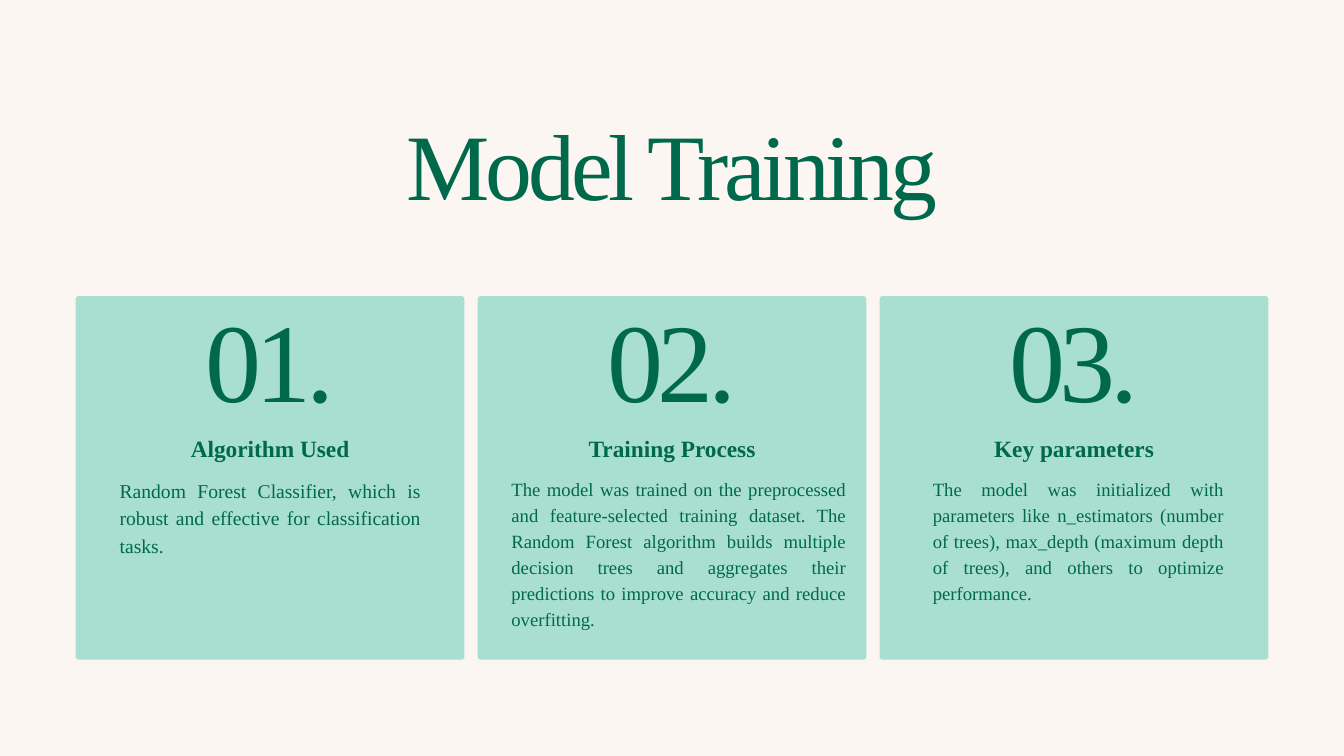
import pptx
import pptx.dml.color
import pptx.enum.shapes
import pptx.enum.text
import pptx.util

Pt = pptx.util.Pt
ALIGN = pptx.enum.text.PP_ALIGN

CREAM = pptx.dml.color.RGBColor(0xFB, 0xF6, 0xF1)
MINT = pptx.dml.color.RGBColor(0xA9, 0xDF, 0xD0)
GREEN = pptx.dml.color.RGBColor(0x00, 0x69, 0x4C)
FONT = "Times New Roman"

SLIDE_WIDTH, SLIDE_HEIGHT = 1440, 810
CARD_WIDTH, CARD_HEIGHT, CARD_TOP = 416.6, 389.3, 317.4
CARD_PITCH = 430.7
CORNER_RADIUS = 3

# Heading, body text, body box (left, top, width, height), size, line spacing
CARDS = [
    ("Algorithm Used",
     "Random Forest Classifier, which is robust and effective for "
     "classification tasks.",
     (128.2, 509, 322.6, 88), 21, 29.4),
    ("Training Process",
     "The model was trained on the preprocessed and feature-selected training "
     "dataset. The Random Forest algorithm builds multiple decision trees and "
     "aggregates their predictions to improve accuracy and reduce overfitting.",
     (547.9, 507.6, 358.6, 167), 20, 28),
    ("Key parameters",
     "The model was initialized with parameters like n_estimators (number of "
     "trees), max_depth (maximum depth of trees), and others to optimize "
     "performance.",
     (999.4, 507.6, 311.8, 139), 20, 28),
]


def add_text(slide, text, box, size, line_spacing, alignment=ALIGN.CENTER,
             bold=False, letter_spacing=0):
    """Add a one-paragraph text box; letter_spacing is in points."""
    shape = slide.shapes.add_textbox(*map(Pt, box))
    text_frame = shape.text_frame
    text_frame.margin_left = text_frame.margin_right = 0
    text_frame.margin_top = text_frame.margin_bottom = 0
    text_frame.word_wrap = True
    text_frame.auto_size = pptx.enum.text.MSO_AUTO_SIZE.SHAPE_TO_FIT_TEXT
    text_frame.text = text
    paragraph = text_frame.paragraphs[0]
    paragraph.alignment = alignment
    paragraph.line_spacing = Pt(line_spacing)
    run = paragraph.runs[0]
    run.font.name = FONT
    run.font.size = Pt(size)
    run.font.bold = bold
    run.font.color.rgb = GREEN
    if letter_spacing:
        run._r.get_or_add_rPr().set("spc", str(round(letter_spacing * 100)))


def add_panel(slide, center):
    shape = slide.shapes.add_shape(
        pptx.enum.shapes.MSO_SHAPE.ROUNDED_RECTANGLE,
        Pt(center - CARD_WIDTH / 2), Pt(CARD_TOP),
        Pt(CARD_WIDTH), Pt(CARD_HEIGHT))
    shape.adjustments[0] = CORNER_RADIUS / CARD_HEIGHT
    shape.shadow.inherit = False
    shape.fill.solid()
    shape.fill.fore_color.rgb = MINT
    shape.line.fill.background()


def add_card(slide, index, heading, body, body_box, body_size, body_spacing):
    center = SLIDE_WIDTH / 2 + (index - 1) * CARD_PITCH
    add_panel(slide, center)
    add_text(slide, f"{index + 1:02d}.", (center - 95.4, 347.8, 190.8, 122.4),
             120, 108, letter_spacing=-5.5)
    add_text(slide, heading, (center - 161.3, 460, 322.6, 34), 25, 35,
             bold=True)
    add_text(slide, body, body_box, body_size, body_spacing, ALIGN.JUSTIFY)


def main():
    presentation = pptx.Presentation()
    presentation.slide_width = Pt(SLIDE_WIDTH)
    presentation.slide_height = Pt(SLIDE_HEIGHT)
    slide = presentation.slides.add_slide(presentation.slide_layouts[6])
    slide.background.fill.solid()
    slide.background.fill.fore_color.rgb = CREAM

    add_text(slide, "Model Training", (174.6, 144.7, 1090.8, 101.5),
             100.4, 90.4, letter_spacing=-4.6)
    for index, card in enumerate(CARDS):
        add_card(slide, index, *card)

    presentation.save("out.pptx")


if __name__ == "__main__":
    main()
